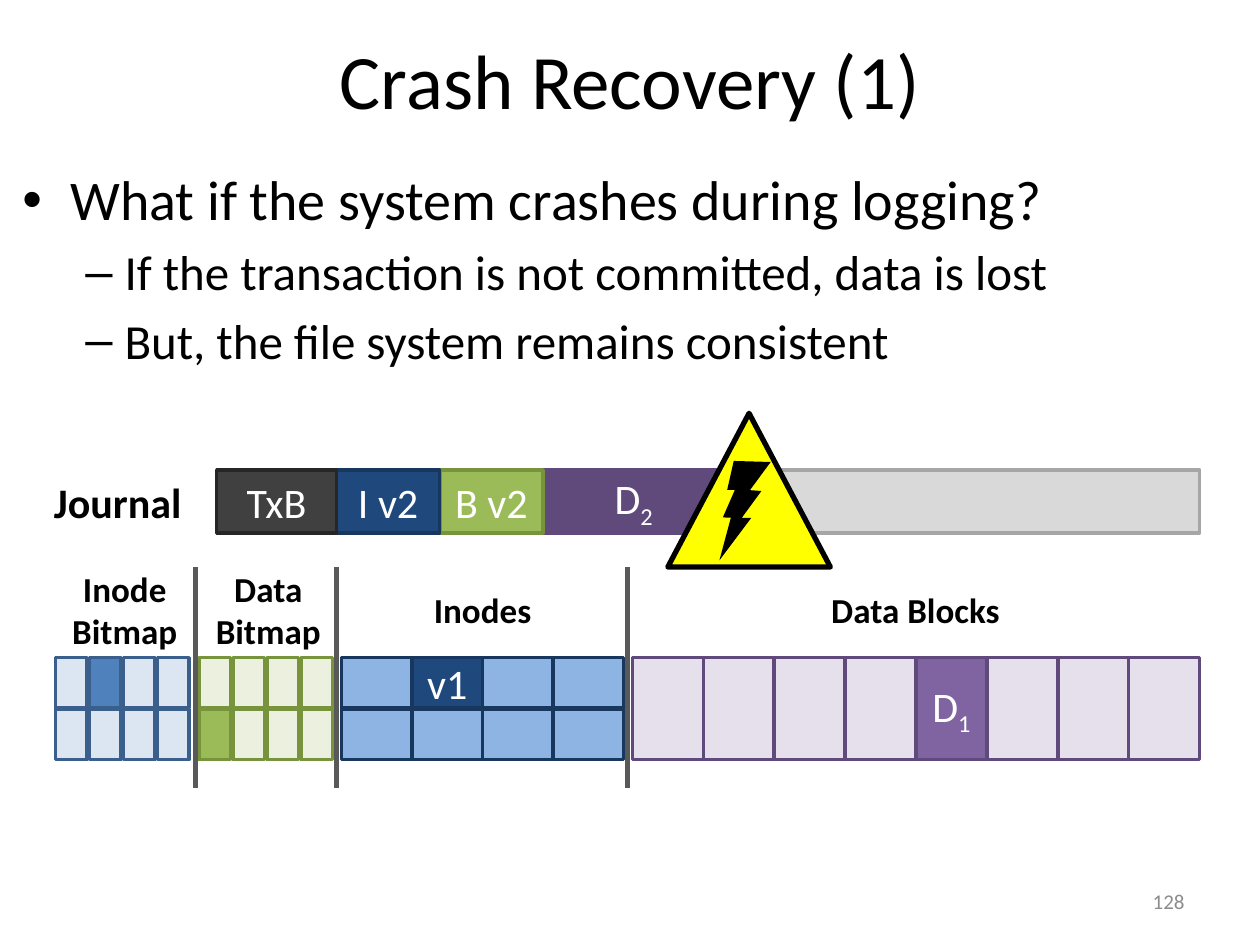
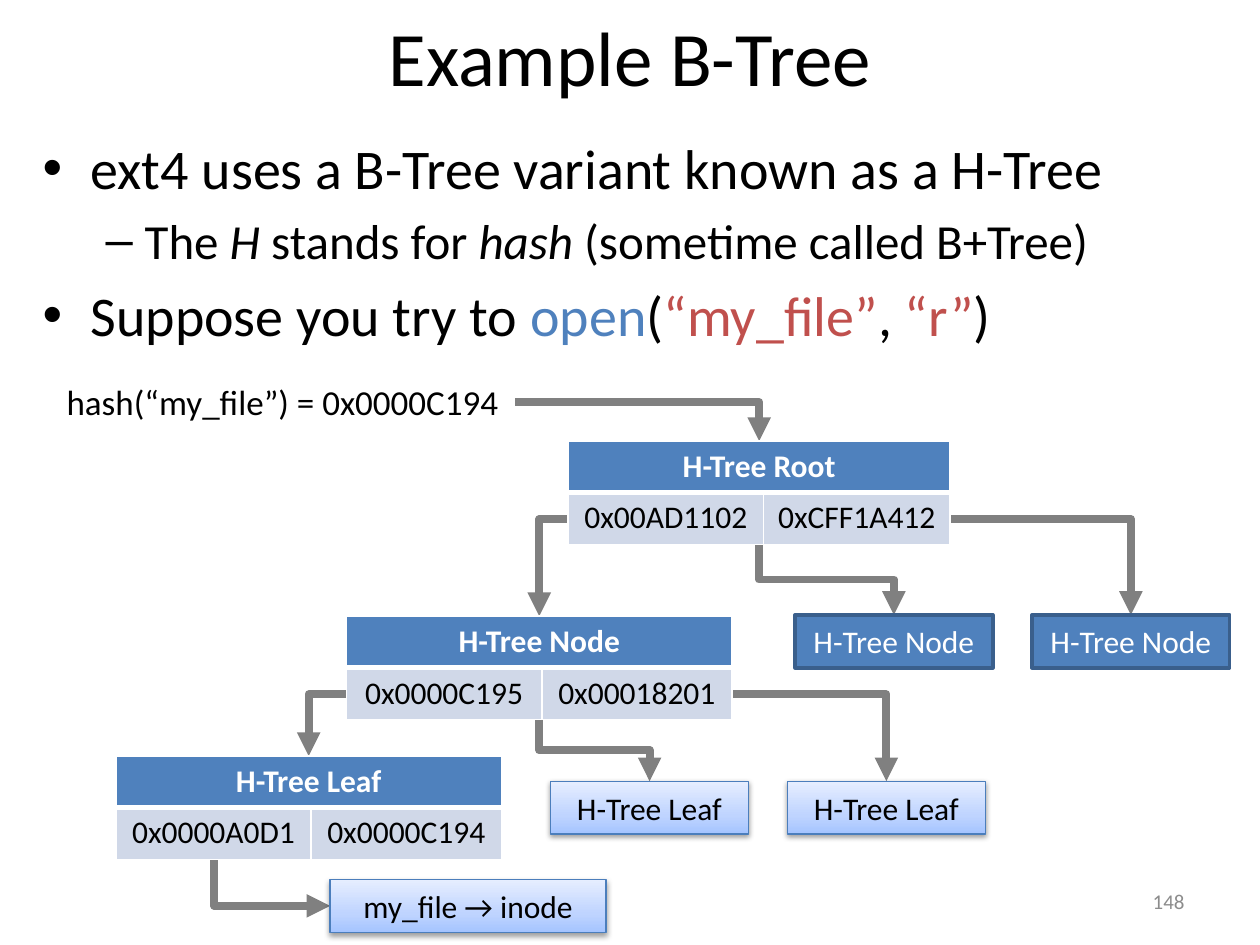
import pptx
import pptx.util
import pptx.dml.color
import pptx.enum.shapes
import pptx.enum.text
import pptx.oxml
import pptx.oxml.ns
from lxml import etree

Inches = pptx.util.Inches
Pt = pptx.util.Pt
SHAPE = pptx.enum.shapes.MSO_SHAPE
ALIGN = pptx.enum.text.PP_ALIGN
ANCHOR = pptx.enum.text.MSO_ANCHOR
qn = pptx.oxml.ns.qn

FONT = "Calibri"
BLACK, WHITE, GREY, ARROW = "000000", "FFFFFF", "8C8C8C", "808080"
BLUE, BLUE_EDGE, BLUE_PALE, ROW_BLUE = "4F81BD", "3A5F8C", "DCE6F2", "D0D8E8"
NAVY, NAVY_EDGE, SKY = "1F497D", "17375E", "8EB4E3"
GREEN, GREEN_EDGE, GREEN_PALE = "9BBB59", "77933C", "EBF1DE"
PURPLE, PURPLE_EDGE, PURPLE_PALE = "8064A2", "604A7B", "E6E0EC"
RED = "C0504D"

BULLETS = [("•", 0.38, -0.38, 32), ("–", 0.81, -0.31, 28)]
ROW_HEIGHT = 0.41
PORT_DROP = 0.62


def rgb(color):
    return pptx.dml.color.RGBColor.from_string(color)


def drawing_xml(body):
    return pptx.oxml.parse_xml(body.replace(">", f" {pptx.oxml.ns.nsdecls('a')}>", 1))


def add_run(paragraph, text, size, color=BLACK, bold=False, italic=False, baseline=0):
    run = paragraph.add_run()
    run.text = text
    font = run.font
    font.name, font.size, font.bold, font.italic = FONT, Pt(size), bold, italic
    font.color.rgb = rgb(color)
    if baseline:
        run._r.get_or_add_rPr().set("baseline", str(baseline * 1000))


def add_text(slide, box, lines, size, align=ALIGN.LEFT, anchor=ANCHOR.TOP, wrap=True, **style):
    frame = slide.shapes.add_textbox(*map(Inches, box)).text_frame
    frame.word_wrap = wrap
    frame.vertical_anchor = anchor
    for index, line in enumerate(lines):
        paragraph = frame.add_paragraph() if index else frame.paragraphs[0]
        paragraph.alignment = align
        add_run(paragraph, line, size, **style)


def add_block(slide, box, fill, edge=None, width=2, label="", sub="", size=24,
              color=WHITE, kind=SHAPE.RECTANGLE):
    block = slide.shapes.add_shape(kind, *map(Inches, box))
    block.shadow.inherit = False
    block.fill.solid()
    block.fill.fore_color.rgb = rgb(fill)
    if edge:
        block.line.color.rgb = rgb(edge)
        block.line.width = Pt(width)
    else:
        block.line.fill.background()
    if label:
        block.text_frame.vertical_anchor = ANCHOR.MIDDLE
        paragraph = block.text_frame.paragraphs[0]
        paragraph.alignment = ALIGN.CENTER
        add_run(paragraph, label, size, color)
        if sub:
            add_run(paragraph, sub, size, color, baseline=-25)
    return block


def add_line(slide, start, end, color, width, kind=pptx.enum.shapes.MSO_CONNECTOR.STRAIGHT):
    line = slide.shapes.add_connector(kind, *map(Inches, (*start, *end)))
    line.line.color.rgb = rgb(color)
    line.line.width = Pt(width)
    etree.SubElement(line._element.spPr, qn("a:effectLst"))
    return line


def add_bullets(slide, box, items):
    frame = slide.shapes.add_textbox(*map(Inches, box)).text_frame
    frame.word_wrap = True
    for index, (level, runs) in enumerate(items):
        paragraph = frame.add_paragraph() if index else frame.paragraphs[0]
        mark, margin, indent, size = BULLETS[level]
        properties = paragraph._p.get_or_add_pPr()
        properties.set("marL", str(Inches(margin)))
        properties.set("indent", str(Inches(indent)))
        etree.SubElement(properties, qn("a:buFont")).set("typeface", "Arial")
        etree.SubElement(properties, qn("a:buChar")).set("char", mark)
        paragraph.level = level
        if index:
            paragraph.space_before = Pt(size * 0.2)
        for text, style in runs:
            add_run(paragraph, text, size, **style)


def start_slide(deck, title, title_height, number):
    slide = deck.slides.add_slide(deck.slide_layouts[6])
    add_text(slide, (0.5, 0, 9, title_height), [title], 44, ALIGN.CENTER, ANCHOR.MIDDLE)
    add_text(slide, (7.17, 6.95, 2.33, 0.4), [number], 12, ALIGN.RIGHT, ANCHOR.MIDDLE, color=GREY)
    return slide


def add_journal(slide, box):
    left, top, width, height = box
    add_block(slide, box, "D9D9D9", "A6A6A6")
    add_text(slide, (left - 1.39, top, 1.22, height), ["Journal"], 24, wrap=False, bold=True)
    entries = [("TxB", "", 0.95, "404040", "262626"), ("I v2", "", 0.82, NAVY, NAVY_EDGE),
               ("B v2", "", 0.82, GREEN, GREEN_EDGE), ("D", "2", 1.44, PURPLE_EDGE, PURPLE_EDGE)]
    right = left + sum(entry[2] for entry in entries)
    for label, sub, entry_width, fill, edge in reversed(entries):
        right -= entry_width
        add_block(slide, (right, top, entry_width, height), fill, edge, label=label, sub=sub)


def add_grid(slide, box, rows, cols, gap, pale, edge, used, used_fill, label="", sub=""):
    left, top, width, height = box
    row_gap = 0.01 * (rows - 1)
    cell_width = (width - gap * (cols - 1)) / cols
    cell_height = (height - row_gap) / rows
    for row in range(rows):
        for col in range(cols):
            cell = (left + col * (cell_width + gap), top + row * (cell_height + row_gap),
                    cell_width, cell_height)
            if (row, col) == used:
                add_block(slide, cell, used_fill, edge, label=label, sub=sub)
            else:
                add_block(slide, cell, pale, edge)


def add_disk(slide, top):
    grid_top, height = top + 0.72, 0.81
    add_grid(slide, (0.44, grid_top, 1.06, height), 2, 4, 0.02, BLUE_PALE, BLUE_EDGE, (0, 1), BLUE)
    add_grid(slide, (1.58, grid_top, 1.06, height), 2, 4, 0.02, GREEN_PALE, GREEN_EDGE, (1, 0), GREEN)
    add_grid(slide, (2.71, grid_top, 2.24, height), 2, 4, 0, SKY, NAVY_EDGE, (0, 1), NAVY, "v1")
    add_grid(slide, (5.02, grid_top, 4.5, height), 1, 8, 0, PURPLE_PALE, PURPLE_EDGE,
             (0, 4), PURPLE, "D", "1")
    for left, width, lines in [(0.47, 1.04, ["Inode", "Bitmap"]), (1.61, 1.04, ["Data", "Bitmap"]),
                               (3.34, 0.98, ["Inodes"]), (6.49, 1.55, ["Data Blocks"])]:
        label_height = 0.11 + 0.33 * len(lines)
        label_top = top + 0.34 - label_height / 2
        add_text(slide, (left, label_top, width, label_height), lines, 20, ALIGN.CENTER,
                 wrap=False, bold=True)
    for divider in (1.55, 2.67, 4.98):
        add_line(slide, (divider, top), (divider, top + 1.75), "595959", 3)


def add_crash_sign(slide, box):
    left, top, width, height = box
    add_block(slide, box, "FFFF00", BLACK, 3, kind=SHAPE.ISOSCELES_TRIANGLE)
    bolt = add_block(slide, (left + 0.25, top + 0.38, 0.68, 0.68), BLACK, kind=SHAPE.LIGHTNING_BOLT)
    bolt.rotation = 336.9
    bolt._element.spPr.find(qn("a:xfrm")).set("flipH", "1")


def add_elbow(slide, start, end, down_first=False, bends=1):
    (x1, y1), (x2, y2) = start, end
    left, top, width, height = min(x1, x2), y1, abs(x2 - x1), y2 - y1
    if down_first:
        left, top = left + (width - height) / 2, top + (height - width) / 2
        width, height = height, width
    arrow = add_line(slide, (left, top), (left + width, top + height), ARROW, 4.5,
                     pptx.enum.shapes.MSO_CONNECTOR.ELBOW)
    properties = arrow._element.spPr
    frame = properties.find(qn("a:xfrm"))
    if down_first:
        frame.set("rot", "16200000")
        frame.set("flipH", "1")
    elif x2 < x1:
        frame.set("rot", "10800000")
        frame.set("flipV", "1")
    properties.find(qn("a:prstGeom")).set("prst", f"bentConnector{bends + 1}")
    etree.SubElement(properties.find(qn("a:ln")), qn("a:tailEnd")).set("type", "triangle")


def top_center(box):
    return box[0] + box[2] / 2, box[1]


def add_branches(slide, parent, children):
    left, top, width, height = parent
    left_child, middle_child, right_child = map(top_center, children)
    add_elbow(slide, (left, top + PORT_DROP), left_child)
    add_elbow(slide, (left + width / 2, top + height), middle_child, down_first=True, bends=2)
    add_elbow(slide, (left + width, top + PORT_DROP), right_child)


def style_cell(cell, text, fill, color, bold, bottom):
    cell.fill.solid()
    cell.fill.fore_color.rgb = rgb(fill)
    paragraph = cell.text_frame.paragraphs[0]
    paragraph.alignment = ALIGN.CENTER
    if text:
        add_run(paragraph, text, 18, color, bold)
    properties = cell._tc.get_or_add_tcPr()
    for index, (side, width) in enumerate([("L", 1), ("R", 1), ("T", 1), ("B", bottom)]):
        properties.insert(index, drawing_xml(
            f'<a:ln{side} w="{Pt(width)}"><a:solidFill><a:srgbClr val="{WHITE}"/>'
            f'</a:solidFill></a:ln{side}>'))


def add_tree_table(slide, box, heading, keys):
    table = slide.shapes.add_table(2, 2, *map(Inches, box)).table
    table.horz_banding = False
    table.columns[0].width = Inches(1.55)
    table.columns[1].width = Inches(box[2] - 1.55)
    for row in table.rows:
        row.height = Inches(ROW_HEIGHT)
    table.cell(0, 0).merge(table.cell(0, 1))
    for col, key in enumerate(keys):
        style_cell(table.cell(0, col), "" if col else heading, BLUE, WHITE, True, 3)
        style_cell(table.cell(1, col), key, ROW_BLUE, BLACK, False, 1)


def add_leaf(slide, box, label):
    leaf = add_block(slide, box, WHITE, "4B7EBC", 0.75, label, size=18, color=BLACK)
    properties = leaf._element.spPr
    stops = "".join(f'<a:gs pos="{place * 1000}"><a:srgbClr val="{color}"/></a:gs>'
                    for place, color in [(0, "A4C4FF"), (35, "BFD4FF"), (100, "E6EEFF")])
    properties.replace(properties.find(qn("a:solidFill")), drawing_xml(
        f'<a:gradFill rotWithShape="1"><a:gsLst>{stops}</a:gsLst>'
        '<a:lin ang="16200000" scaled="0"/></a:gradFill>'))
    properties.find(qn("a:effectLst")).append(drawing_xml(
        '<a:outerShdw blurRad="40000" dist="20000" dir="5400000" rotWithShape="0">'
        f'<a:srgbClr val="{BLACK}"><a:alpha val="38000"/></a:srgbClr></a:outerShdw>'))


def add_tree(slide, root):
    left, top, width, height = root
    table_height = 2 * ROW_HEIGHT
    node = (left - 1.76, top + 1.39, 3.06, table_height)
    leaf = (left - 3.59, top + 2.5, 3.06, table_height)
    side_nodes = [(left + shift, top + 1.38, 1.57, 0.42) for shift in (1.8, 3.68)]
    side_leaves = [(left + shift, top + 2.7, 1.57, 0.42) for shift in (-0.14, 1.74)]
    target = (left - 1.89, top + 3.48, 2.19, 0.42)

    add_text(slide, (left - 4.08, top - 0.53, 3.66, 0.44), ["hash(“my_file”) = 0x0000C194"],
             20, wrap=False)
    add_elbow(slide, (left - 0.42, top - 0.31), top_center(root))
    add_branches(slide, root, [node, *side_nodes])
    add_branches(slide, node, [leaf, *side_leaves])
    add_elbow(slide, (leaf[0] + 0.78, leaf[1] + table_height), (target[0], target[1] + 0.21),
              down_first=True)

    for box in side_nodes:
        add_block(slide, box, BLUE, BLUE_EDGE, label="H-Tree Node", size=18)
    for box in side_leaves:
        add_leaf(slide, box, "H-Tree Leaf")
    add_leaf(slide, target, "my_file → inode")
    add_tree_table(slide, root, "H-Tree Root", ["0x00AD1102", "0xCFF1A412"])
    add_tree_table(slide, node, "H-Tree Node", ["0x0000C195", "0x00018201"])
    add_tree_table(slide, leaf, "H-Tree Leaf", ["0x0000A0D1", "0x0000C194"])


def crash_recovery(deck):
    slide = start_slide(deck, "Crash Recovery (1)", 1.25, "128")
    add_bullets(slide, (0.08, 1.26, 9.85, 1.99), [
        (0, [("What if the system crashes during logging?", {})]),
        (1, [("If the transaction is not committed, data is lost", {})]),
        (1, [("But, the file system remains consistent", {})])])
    add_journal(slide, (1.72, 3.73, 7.8, 0.5))
    add_disk(slide, 4.5)
    add_crash_sign(slide, (5.3, 3.28, 1.29, 1.22))


def example_b_tree(deck):
    slide = start_slide(deck, "Example B-Tree", 0.88, "148")
    italic, call, argument = {"italic": True}, {"color": BLUE}, {"color": RED}
    add_bullets(slide, (0.24, 1.01, 9.49, 1.95), [
        (0, [("ext4 uses a B-Tree variant known as a H-Tree", {})]),
        (1, [("The ", {}), ("H", italic), (" stands for ", {}), ("hash ", italic),
             ("(sometime called B+Tree)", {})]),
        (0, [("Suppose you try to ", {}), ("open", call), ("(", {}), ("“my_file”", argument),
             (", ", {}), ("“r”", argument), (")", {})])])
    add_tree(slide, (4.51, 3.5, 3.03, 2 * ROW_HEIGHT))


def main():
    deck = pptx.Presentation()
    deck.slide_width, deck.slide_height = Inches(10), Inches(7.5)
    crash_recovery(deck)
    example_b_tree(deck)
    deck.save("out.pptx")


if __name__ == "__main__":
    main()
